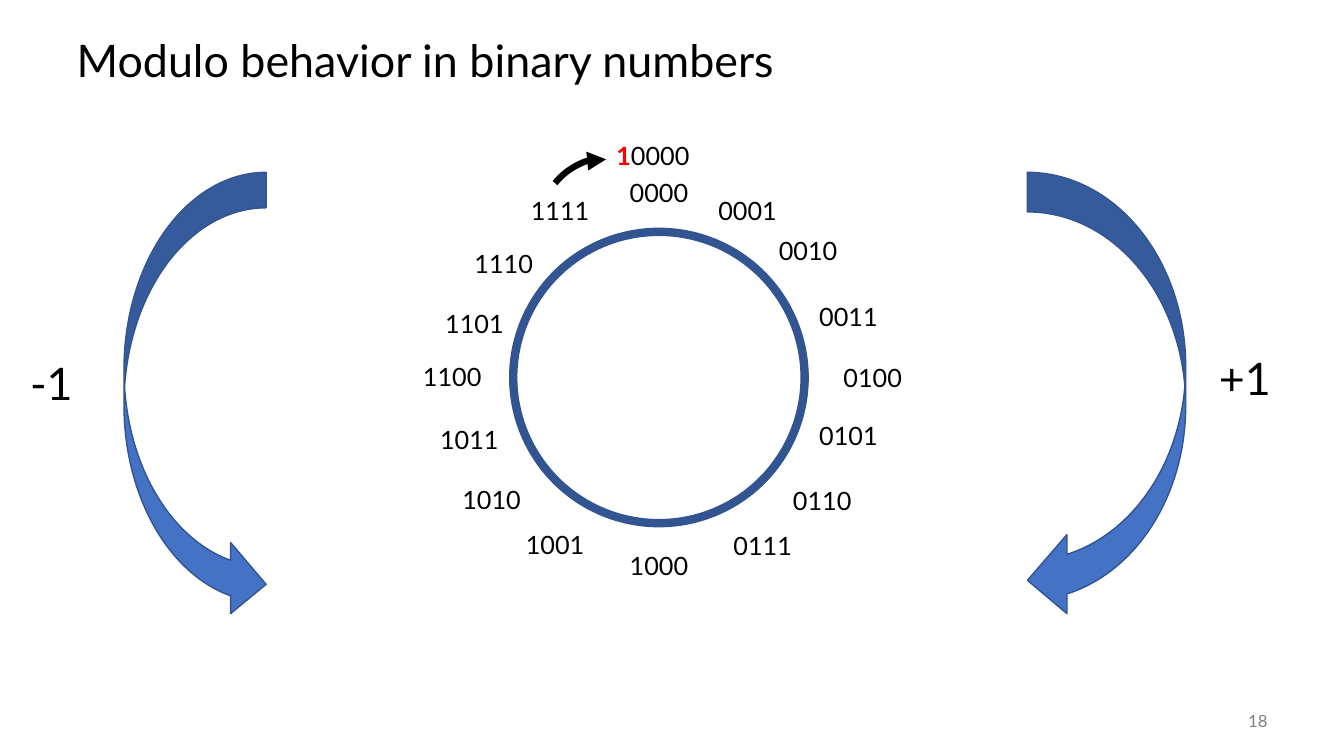
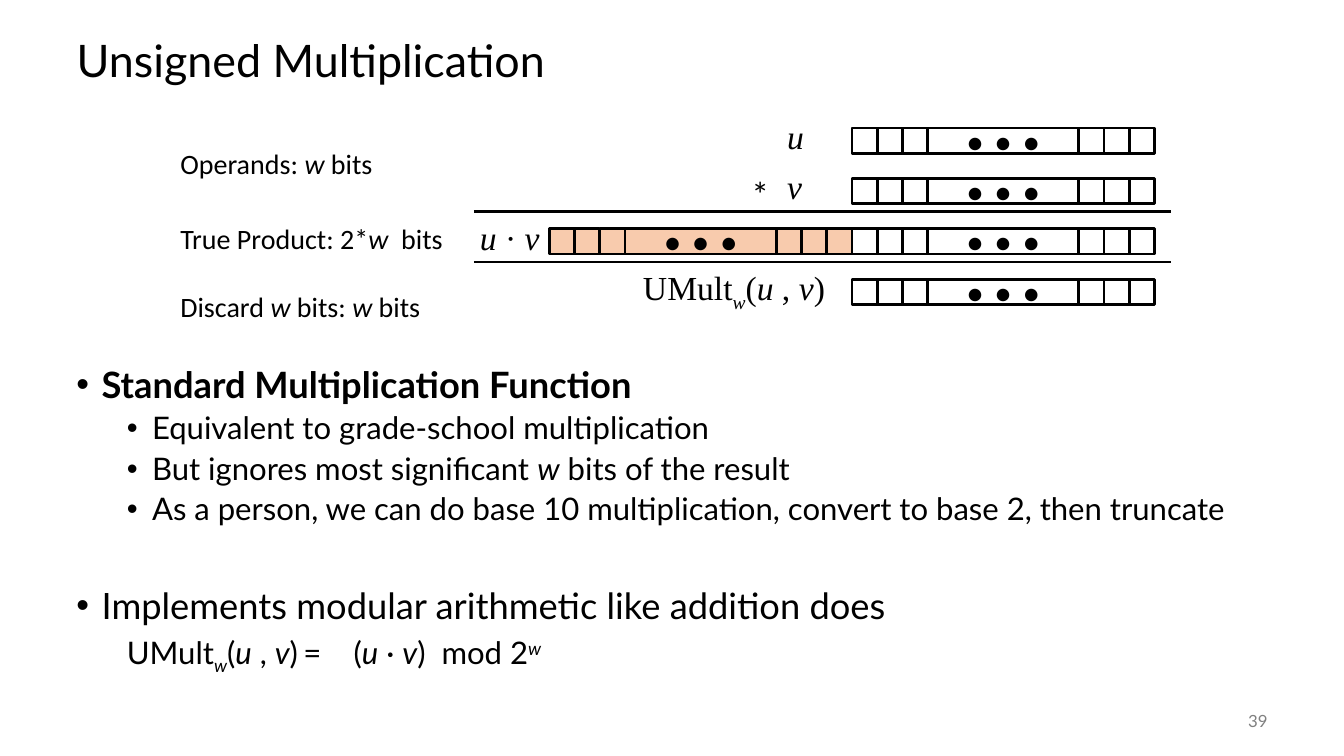
import pptx
import pptx.dml.color
import pptx.enum.shapes
import pptx.enum.text
import pptx.oxml
import pptx.oxml.ns
import pptx.util

PX = 9144
COLORS = {
    "black": "000000", "white": "FFFFFF", "gray": "808080", "red": "FF0000",
    "blue": "4472C4", "navy": "325491", "peach": "F8CBAD",
}
SHAPE = pptx.enum.shapes.MSO_SHAPE
ALIGN = pptx.enum.text.PP_ALIGN
MIDDLE = pptx.enum.text.MSO_ANCHOR.MIDDLE
SANS, CAPTION, SERIF = "Lato", "Calibri", "Times New Roman"

STYLES = {
    "plain": {},
    "bold": {"bold": True},
    "carry": {"bold": True, "color": "red"},
    "italic": {"italic": True},
    "sub": {"italic": True, "baseline": -25000},
    "super": {"italic": True, "baseline": 30000},
}
U, V, W = ("u", "italic"), ("v", "italic"), ("w", "italic")
UMULT = ["UMult", ("w", "sub"), "(", U, " , ", V]

CODE_SIZE = (81, 40)
CODES = [
    ("0000", 613, 171), ("0001", 701, 189), ("0010", 761, 229), ("0011", 801, 294),
    ("0100", 825, 355), ("0101", 801, 412), ("0110", 775, 477), ("0111", 716, 521),
    ("1000", 613, 541), ("1001", 510, 520), ("1010", 447, 476), ("1011", 425, 416),
    ("1100", 408, 354), ("1101", 430, 301), ("1110", 459, 241), ("1111", 515, 189),
]
RING = (509, 230, 289, 289)
CARRY_ARC = (529, 165, 113, 90)
STEPS = [
    ("+1", (1199, 343, 130, 64), (1019, 171, 157, 444), False),
    ("-1", (20, 348, 100, 64), (123, 171, 141, 444), True),
]

BIT = 25
ROWS = [127 + 50 * row for row in range(4)]
LOW_LEFT, HIGH_LEFT = 845, 545
REGISTERS = [(LOW_LEFT, top, "white") for top in ROWS] + [(HIGH_LEFT, ROWS[2], "peach")]
RULES = [210, 260]
CAPTIONS = [
    (140, ["Operands: ", W, " bits"]),
    (215, ["True Product: 2*", W, "  bits"]),
    (282, ["Discard ", W, " bits: ", W, " bits"]),
]
TERMS = [
    ((771, 110, 50, 50), [U], SERIF, ALIGN.LEFT),
    ((771, 160, 50, 50), [V], SERIF, ALIGN.LEFT),
    ((737, 168, 39, 50), ["*"], SANS, ALIGN.LEFT),
    ((435, 210, 110, 50), [("u ", "italic"), "· ", V], SERIF, ALIGN.RIGHT),
    ((600, 260, 228, 50), UMULT + [")"], SERIF, ALIGN.RIGHT),
]
LEVELS = [
    {"size": 25.9, "margin": 25, "before": 14},
    {"size": 22.2, "margin": 75, "before": 5},
]
BODY = [
    (0, True, 0, [("Standard Multiplication Function", "bold")]),
    (1, True, 0, ["Equivalent to grade-school multiplication"]),
    (1, True, 0, ["But ignores most significant ", W, " bits of the result"]),
    (1, True, 0, ["As a person, we can do base 10 multiplication, convert to base 2, then truncate"]),
    (0, True, 29, ["Implements modular arithmetic like addition does"]),
    (1, False, 0, UMULT + [")\t=\t(", U, " · ", V, ")  mod 2", ("w", "super")]),
]


def emu(*lengths):
    return [pptx.util.Emu(length * PX) for length in lengths]


def rgb(name):
    return pptx.dml.color.RGBColor.from_string(COLORS[name])


def write(para, pieces, size, font=SANS, color="black"):
    for piece in pieces:
        text, style = (piece, "plain") if isinstance(piece, str) else piece
        span = para.add_run()
        span.text = text
        values = {"name": font, "size": pptx.util.Pt(size), "bold": False, "italic": False}
        values.update(STYLES[style])
        span.font.color.rgb = rgb(values.pop("color", color))
        baseline = values.pop("baseline", 0)
        for key, value in values.items():
            setattr(span.font, key, value)
        if baseline:
            span.font._element.set("baseline", str(baseline))


def add_label(page, area, pieces, size, font=SANS, align=ALIGN.LEFT, color="black", anchor=None):
    box = page.shapes.add_textbox(*emu(*area))
    frame = box.text_frame
    frame.word_wrap = True
    frame.vertical_anchor = anchor
    para = frame.paragraphs[0]
    para.alignment = align
    write(para, pieces, size, font, color)


def add_figure(shapes, kind, area, fill, line, width):
    figure = shapes.add_shape(kind, *emu(*area))
    figure.shadow.inherit = False
    if fill:
        figure.fill.solid()
        figure.fill.fore_color.rgb = rgb(fill)
    else:
        figure.fill.background()
    figure.line.color.rgb = rgb(line)
    figure.line.width = pptx.util.Pt(width)
    return figure


def add_page(deck, heading, number):
    page = deck.slides.add_slide(deck.slide_layouts[5])
    title = page.shapes.title
    title.left, title.top, title.width, title.height = emu(66, 25, 1200, 75)
    title.text_frame.vertical_anchor = MIDDLE
    para = title.text_frame.paragraphs[0]
    para.alignment = ALIGN.LEFT
    para.line_spacing = 0.9
    write(para, [heading], 32)
    add_label(page, (1167, 695, 100, 40), [number], 12, align=ALIGN.RIGHT, color="gray", anchor=MIDDLE)
    return page


def add_register(page, left, top, fill):
    group = page.shapes.add_group_shape()
    for column in (0, 1, 2, 9, 10, 11):
        add_figure(group.shapes, SHAPE.RECTANGLE, (left + column * BIT, top, BIT, BIT), fill, "black", 2)
    middle = add_figure(group.shapes, SHAPE.RECTANGLE, (left + 3 * BIT, top, 6 * BIT, BIT), fill, "black", 2)
    middle.text_frame.word_wrap = False
    middle.text_frame.vertical_anchor = MIDDLE
    para = middle.text_frame.paragraphs[0]
    para.alignment = ALIGN.CENTER
    write(para, ["• • •"], 24)


def add_rule(page, top):
    rule = page.shapes.add_connector(
        pptx.enum.shapes.MSO_CONNECTOR.STRAIGHT, *emu(470, top, 1161, top))
    rule.line.color.rgb = rgb("black")
    rule.line.width = pptx.util.Pt(2)
    properties = rule._element.spPr
    properties.append(properties.makeelement(pptx.oxml.ns.qn("a:effectLst"), {}))


def add_body(page):
    frame = page.shapes.add_textbox(*emu(66, 359, 1200, 316)).text_frame
    frame.word_wrap = True
    for index, (level, bulleted, gap, pieces) in enumerate(BODY):
        para = frame.add_paragraph() if index else frame.paragraphs[0]
        form = LEVELS[level]
        properties = para._p.get_or_add_pPr()
        properties.set("marL", str(form["margin"] * PX))
        properties.set("indent", str(-25 * PX))
        if bulleted:
            for tag, values in (("a:buFont", {"typeface": "Arial"}), ("a:buChar", {"char": "•"})):
                properties.append(properties.makeelement(pptx.oxml.ns.qn(tag), values))
        para.level = level
        para.line_spacing = 0.9
        if index:
            para.space_before = pptx.util.Pt(form["before"] + gap)
        write(para, pieces, form["size"])


def build_modulo(deck):
    page = add_page(deck, "Modulo behavior in binary numbers", "18")
    add_figure(page.shapes, SHAPE.OVAL, RING, None, "navy", 6)
    for code, left, top in CODES:
        add_label(page, (left, top, *CODE_SIZE), [code], 18, align=ALIGN.CENTER)
    for step, label_area, arrow_area, flipped in STEPS:
        arrow = add_figure(page.shapes, SHAPE.CURVED_LEFT_ARROW, arrow_area, "blue", "navy", 1)
        if flipped:
            arrow._element.spPr.find(pptx.oxml.ns.qn("a:xfrm")).set("flipH", "1")
        add_label(page, label_area, [step], 32)
    arc = add_figure(page.shapes, SHAPE.ARC, CARRY_ARC, None, "black", 4.5)
    arc.rotation = 309.1
    arc.adjustments[0], arc.adjustments[1] = 162, 202.61
    outline = arc.line._get_or_add_ln()
    outline.append(outline.makeelement(pptx.oxml.ns.qn("a:tailEnd"), {"type": "triangle"}))
    add_label(page, (572, 134, 151, 40), [("1", "carry"), "0000"], 18, align=ALIGN.CENTER)


def build_multiplication(deck):
    page = add_page(deck, "Unsigned Multiplication", "39")
    add_body(page)
    for left, top, fill in REGISTERS:
        add_register(page, left, top, fill)
    for top in RULES:
        add_rule(page, top)
    for top, pieces in CAPTIONS:
        add_label(page, (169, top, 290, 44), pieces, 20, CAPTION)
    for area, pieces, font, align in TERMS:
        add_label(page, area, pieces, 24, font, align)


def main():
    deck = pptx.Presentation()
    deck.slide_width, deck.slide_height = emu(1333, 750)
    build_modulo(deck)
    build_multiplication(deck)
    deck.save("out.pptx")


if __name__ == "__main__":
    main()
